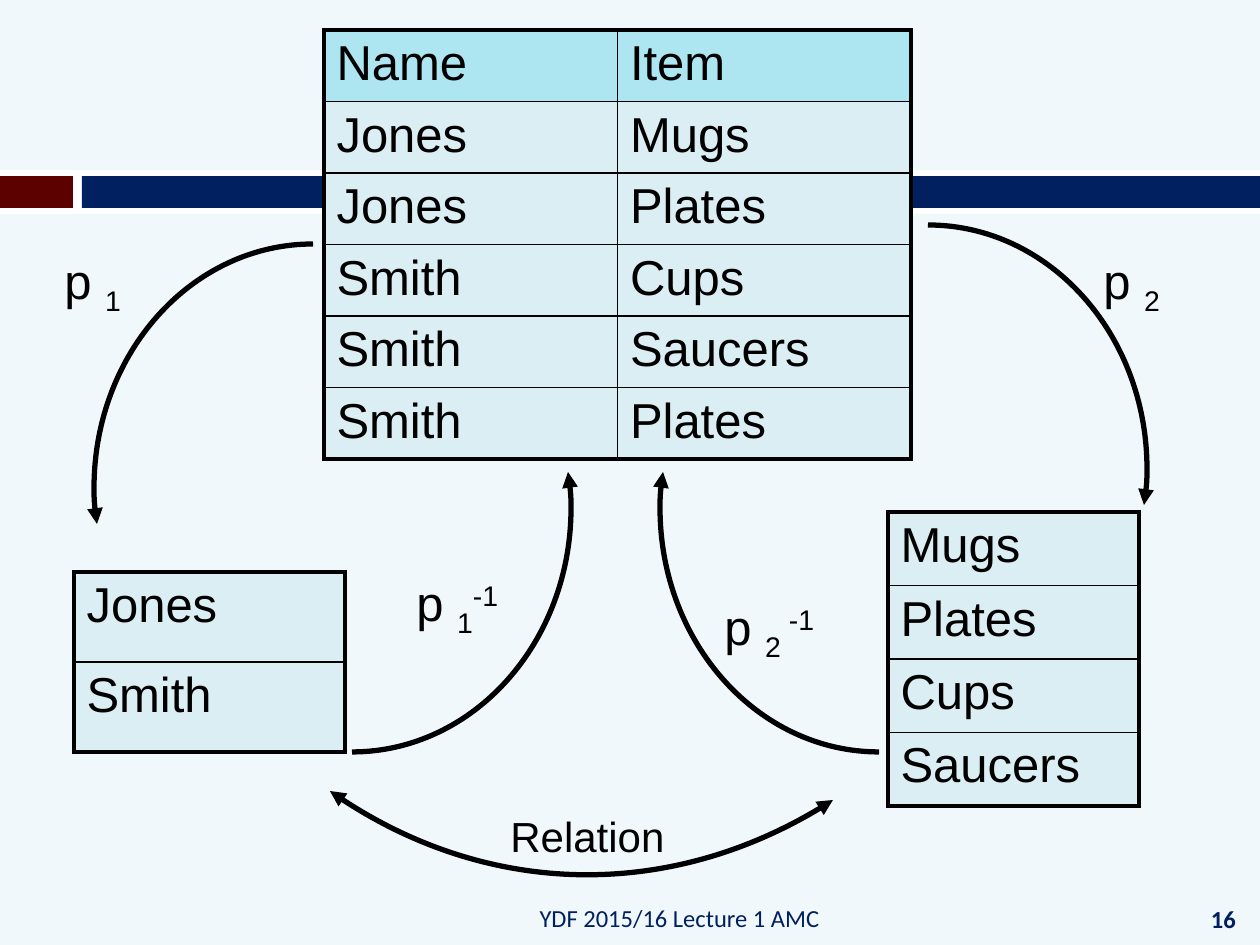
from dataclasses import dataclass

from lxml.etree import SubElement
from pptx import Presentation
from pptx.dml.color import RGBColor
from pptx.enum.shapes import MSO_SHAPE
from pptx.enum.text import MSO_ANCHOR, PP_ALIGN
from pptx.oxml.ns import qn
from pptx.util import Pt

EMU_PER_PX = 914400 / 126

# Control points of the projection curve, measured from its arrow tip
PROJECTION_CURVE = [(-2, -12), (-3, -24), (-3, -36), (-3, -171), (95, -280), (216, -280)]


def px(*lengths):
    return [round(length * EMU_PER_PX) for length in lengths]


@dataclass(frozen=True)
class Theme:
    background: str = "F1F8FB"
    white: str = "FFFFFF"
    maroon: str = "5C0000"
    navy: str = "002060"
    ink: str = "000000"
    header: str = "ADE6F1"
    cell: str = "DBEEF4"
    body_font: str = "Arial"
    footer_font: str = "Calibri"
    body_size: int = 28
    label_size: int = 24
    footer_size: int = 14
    outer_border: float = 2.25
    inner_border: float = 1
    curve: float = 3


class SlideBuilder:
    def __init__(self, slide, theme):
        self.slide = slide
        self.theme = theme
        fill = slide.background.fill
        fill.solid()
        fill.fore_color.rgb = RGBColor.from_string(theme.background)

    def style(self, font, size, color=None, name=None, bold=False):
        font.size = Pt(size)
        font.name = name or self.theme.body_font
        font.color.rgb = RGBColor.from_string(color or self.theme.ink)
        font.bold = bold

    def bar(self, left, top, width, height, color):
        shape = self.slide.shapes.add_shape(MSO_SHAPE.RECTANGLE, *px(left, top, width, height))
        shape.shadow.inherit = False
        shape.fill.solid()
        shape.fill.fore_color.rgb = RGBColor.from_string(color)
        shape.line.fill.background()

    def text_box(self, left, top, width, height):
        box = self.slide.shapes.add_textbox(*px(left, top, width, height))
        box.text_frame.word_wrap = True
        return box.text_frame

    def footer(self, left, top, width, height, text, align, bold=False):
        frame = self.text_box(left, top, width, height)
        frame.vertical_anchor = MSO_ANCHOR.MIDDLE
        frame.text = text
        para = frame.paragraphs[0]
        para.alignment = align
        self.style(para.runs[0].font, self.theme.footer_size, self.theme.navy,
                   self.theme.footer_font, bold)

    def label(self, left, top, width, height, spans, size):
        """Write spans of (text, baseline shift in percent) on one line."""
        para = self.text_box(left, top, width, height).paragraphs[0]
        for text, shift in spans:
            span = para.add_run()
            span.text = text
            self.style(span.font, size)
            if shift:
                span.font._element.set("baseline", str(shift * 1000))

    def border(self, cell, side, width):
        properties = cell._tc.get_or_add_tcPr()
        line = SubElement(properties, qn(f"a:ln{side}"), w=str(Pt(width)))
        SubElement(SubElement(line, qn("a:solidFill")), qn("a:srgbClr"), val=self.theme.ink)

    def table(self, left, top, width, height, rows, header=False):
        last_row, last_column = len(rows) - 1, len(rows[0]) - 1
        table = self.slide.shapes.add_table(
            last_row + 1, last_column + 1, *px(left, top, width, height)).table
        table.first_row = header
        table.horz_banding = False
        for r, values in enumerate(rows):
            for c, value in enumerate(values):
                cell = table.cell(r, c)
                cell.text = value
                self.style(cell.text_frame.paragraphs[0].runs[0].font, self.theme.body_size)
                edges = {"L": c == 0, "R": c == last_column, "T": r == 0, "B": r == last_row}
                for side, is_outer in edges.items():
                    self.border(cell, side, self.theme.outer_border if is_outer
                                else self.theme.inner_border)
                cell.fill.solid()
                color = self.theme.header if header and r == 0 else self.theme.cell
                cell.fill.fore_color.rgb = RGBColor.from_string(color)

    def curve(self, start, points, ends=("headEnd",)):
        """Draw cubic curves; every three points are two controls and an end."""
        builder = self.slide.shapes.build_freeform(*start, scale=EMU_PER_PX)
        builder.add_line_segments(points, close=False)
        shape = builder.convert_to_shape()
        shape.shadow.inherit = False
        shape.fill.background()
        shape.line.color.rgb = RGBColor.from_string(self.theme.ink)
        shape.line.width = Pt(self.theme.curve)
        for end in ends:
            SubElement(shape.line._get_or_add_ln(), qn(f"a:{end}"), type="triangle")
        outline = next(shape._element.iter(qn("a:path")))
        segments = outline.findall(qn("a:lnTo"))
        for first in range(0, len(segments), 3):
            cubic = SubElement(outline, qn("a:cubicBezTo"))
            for segment in segments[first:first + 3]:
                cubic.append(segment[0])
                outline.remove(segment)

    def projection(self, tip_x, tip_y, flip_x, flip_y):
        self.curve((tip_x, tip_y), [(tip_x + flip_x * x, tip_y + flip_y * y)
                                    for x, y in PROJECTION_CURVE])


def main():
    deck = Presentation()
    deck.slide_width, deck.slide_height = px(1260, 945)
    theme = Theme()
    page = SlideBuilder(deck.slides.add_slide(deck.slide_layouts[6]), theme)

    page.bar(0, 170, 1260, 44, theme.white)
    page.bar(0, 176, 73, 32, theme.maroon)
    page.bar(82, 176, 1178, 32, theme.navy)
    page.footer(84, 893, 748, 50, "YDF 2015/16 Lecture 1 AMC", PP_ALIGN.RIGHT)
    page.footer(1187, 892, 73, 53, "16", PP_ALIGN.CENTER, bold=True)

    page.table(324, 30, 587, 428, [
        ("Name", "Item"), ("Jones", "Mugs"), ("Jones", "Plates"),
        ("Smith", "Cups"), ("Smith", "Saucers"), ("Smith", "Plates"),
    ], header=True)
    page.table(74, 572, 271, 180, [("Jones",), ("Smith",)])
    page.table(888, 512, 251, 294, [("Mugs",), ("Plates",), ("Cups",), ("Saucers",)])

    for tip_x, tip_y, flip_x, flip_y in [
        (97, 524, 1, 1), (1144, 505, -1, 1), (568, 472, -1, -1), (663, 472, 1, -1),
    ]:
        page.projection(tip_x, tip_y, flip_x, flip_y)
    page.curve((833, 800), [(679, 900), (480, 897), (330, 791)], ("headEnd", "tailEnd"))

    page.label(498, 804, 192, 63, [("Relation", 0)], theme.label_size)
    for left, top, width, spans in [
        (52, 244, 92, [("1", -25)]),
        (1091, 244, 113, [("2", -25)]),
        (404, 566, 146, [("1", -25), ("-1", 30)]),
        (712, 590, 141, [("2 ", -25), ("-1", 30)]),
    ]:
        page.label(left, top, width, 72, [("p ", 0), *spans], theme.body_size)

    deck.save("out.pptx")


if __name__ == "__main__":
    main()
